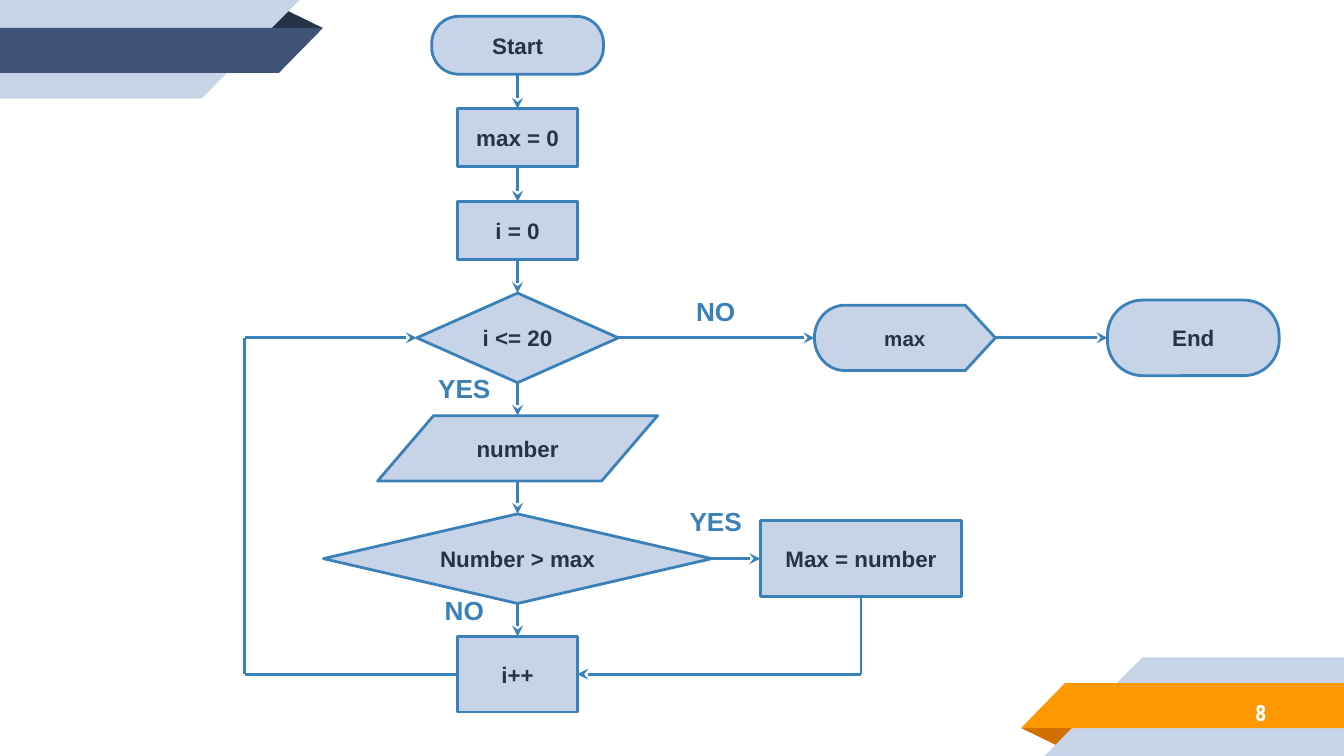
import lxml.etree
import pptx
import pptx.dml.color
import pptx.enum.shapes
import pptx.enum.text
import pptx.oxml.ns
import pptx.util

Pt = pptx.util.Pt
KIND = pptx.enum.shapes.MSO_SHAPE
ALIGN = pptx.enum.text.PP_ALIGN
ANCHOR = pptx.enum.text.MSO_ANCHOR
SLIDE_WIDTH, SLIDE_HEIGHT = 720, 405
PALE, BLUE, INK = "C7D3E6", "3A81BA", "263248"


def colour(value):
    return pptx.dml.color.RGBColor.from_string(value)


def add_element(parent, tag, **attributes):
    return lxml.etree.SubElement(parent, pptx.oxml.ns.qn(tag), **attributes)


def write_text(shape, text, size, value, font="Arial", align=ALIGN.CENTER, anchor=ANCHOR.MIDDLE):
    frame = shape.text_frame
    frame.word_wrap = True
    frame.vertical_anchor = anchor
    frame.margin_left = frame.margin_right = Pt(7.2)
    frame.margin_top = frame.margin_bottom = Pt(7.2)
    paragraph = frame.paragraphs[0]
    paragraph.alignment = align
    run = paragraph.add_run()
    run.text = text
    run.font.name, run.font.size, run.font.bold = font, Pt(size), True
    run.font.color.rgb = colour(value)


def add_corner(slide, left, top, width, height, band, fold, turned=False):
    """Folded ribbon for the top left corner, or turned half round."""
    parts = [
        (fold, [(142.5, 15), (width, 15), (152.5, 5)]),
        (PALE, [(0, 0), (160.5, 0), (108, height), (0, height)]),
        (band, [(0, 15), (width, 15), (149.5, 39), (0, 39)]),
    ]
    for fill, points in parts:
        if turned:
            points = [(width - x, height - y) for x, y in points]
        points = [(Pt(left + x), Pt(top + y)) for x, y in points]
        builder = slide.shapes.build_freeform(*points[0], scale=1.0)
        builder.add_line_segments(points[1:], close=True)
        shape = builder.convert_to_shape()
        shape.shadow.inherit = False
        shape.fill.solid()
        shape.fill.fore_color.rgb = colour(fill)
        shape.line.fill.background()


def add_page_number(slide, left, top, width, height, number):
    box = slide.shapes.add_textbox(Pt(left), Pt(top), Pt(width), Pt(height))
    write_text(box, number, 12, "FFFFFF", "Roboto Condensed", ALIGN.RIGHT)


def add_step(slide, kind, text, centre_x, centre_y, width, height, size=12):
    shape = slide.shapes.add_shape(
        kind, Pt(centre_x - width / 2), Pt(centre_y - height / 2), Pt(width), Pt(height))
    shape.shadow.inherit = False
    shape.fill.solid()
    shape.fill.fore_color.rgb = colour(PALE)
    shape.line.color.rgb = colour(BLUE)
    shape.line.width = Pt(1.5)
    if kind == KIND.ROUNDED_RECTANGLE:
        shape.adjustments[0] = 0.467
    if kind == KIND.FLOWCHART_DISPLAY:
        shape._element.spPr.get_or_add_xfrm().set("flipH", "1")
    write_text(shape, text, size, INK)
    return shape


def add_route(slide, *points):
    """Straight lines through the points, with an arrowhead at the end."""
    for start, end in zip(points, points[1:]):
        line = slide.shapes.add_connector(
            pptx.enum.shapes.MSO_CONNECTOR.STRAIGHT, *start, *end)
        line.line.color.rgb = colour(BLUE)
        line.line.width = Pt(1.5)
        if end == points[-1]:
            add_element(line.line._get_or_add_ln(), "a:tailEnd", type="stealth")
        add_element(line._element.spPr, "a:effectLst")


def edges(shape):
    """Middle points of the top, left, bottom and right sides."""
    middle_x, middle_y = shape.left + shape.width // 2, shape.top + shape.height // 2
    return {"top": (middle_x, shape.top), "left": (shape.left, middle_y),
            "bottom": (middle_x, shape.top + shape.height),
            "right": (shape.left + shape.width, middle_y)}


def add_flowchart(slide, left, top):
    axis = left + 146.3
    loop_row, compare_row = top + 172, top + 290.3

    # Main column
    column = [
        (KIND.ROUNDED_RECTANGLE, "Start", 15.3, 92, 31),
        (KIND.RECTANGLE, "max = 0", 64.8, 64, 31),
        (KIND.RECTANGLE, "i = 0", 114.5, 64, 31),
        (KIND.FLOWCHART_DECISION, "i <= 20", 172, 108, 48),
        (KIND.FLOWCHART_DATA, "number", 231.2, 150, 35),
        (KIND.FLOWCHART_DECISION, "Number > max", 290.3, 208, 48),
        (KIND.RECTANGLE, "i++", 352.2, 64, 40.5),
    ]
    steps = [edges(add_step(slide, kind, text, axis, top + y, width, height))
             for kind, text, y, width, height in column]
    loop, compare, increment = steps[3], steps[5], steps[6]

    # Side branches
    output = edges(add_step(slide, KIND.FLOWCHART_DISPLAY, "max",
                            left + 353.8, loop_row, 97, 35, size=11))
    end = edges(add_step(slide, KIND.ROUNDED_RECTANGLE, "End",
                         left + 508.3, loop_row, 92, 40.5))
    update = edges(add_step(slide, KIND.RECTANGLE, "Max = number",
                            left + 330.3, compare_row, 108, 40.5))

    # Arrows
    for upper, lower in zip(steps, steps[1:]):
        add_route(slide, upper["bottom"], lower["top"])
    for source, target in [(loop, output), (output, end), (compare, update)]:
        add_route(slide, source["right"], target["left"])
    add_route(slide, increment["left"], (Pt(left), increment["left"][1]),
              (Pt(left), loop["left"][1]), loop["left"])
    add_route(slide, update["bottom"], (update["bottom"][0], increment["right"][1]),
              increment["right"])

    # Branch labels
    labels = [("YES", 90, 183.2), ("YES", 224.7, 254.5), ("NO", 224.7, 142.2), ("NO", 90, 302)]
    for text, x, y in labels:
        box = slide.shapes.add_textbox(Pt(left + x), Pt(top + y), Pt(55.5), Pt(29.5))
        write_text(box, text, 14, BLUE, anchor=ANCHOR.TOP)


def main():
    presentation = pptx.Presentation()
    presentation.slide_width, presentation.slide_height = Pt(SLIDE_WIDTH), Pt(SLIDE_HEIGHT)
    slide = presentation.slides.add_slide(presentation.slide_layouts[6])
    width, height = 173, 52.8
    add_corner(slide, SLIDE_WIDTH - width, SLIDE_HEIGHT - height, width, height,
               "FF9800", "D26F00", turned=True)
    add_corner(slide, 0, 0, width, height, "3F5378", INK)
    add_page_number(slide, 568, 369.5, 117.5, 25, "8")
    add_flowchart(slide, 131, 9)
    presentation.save("out.pptx")


if __name__ == "__main__":
    main()
